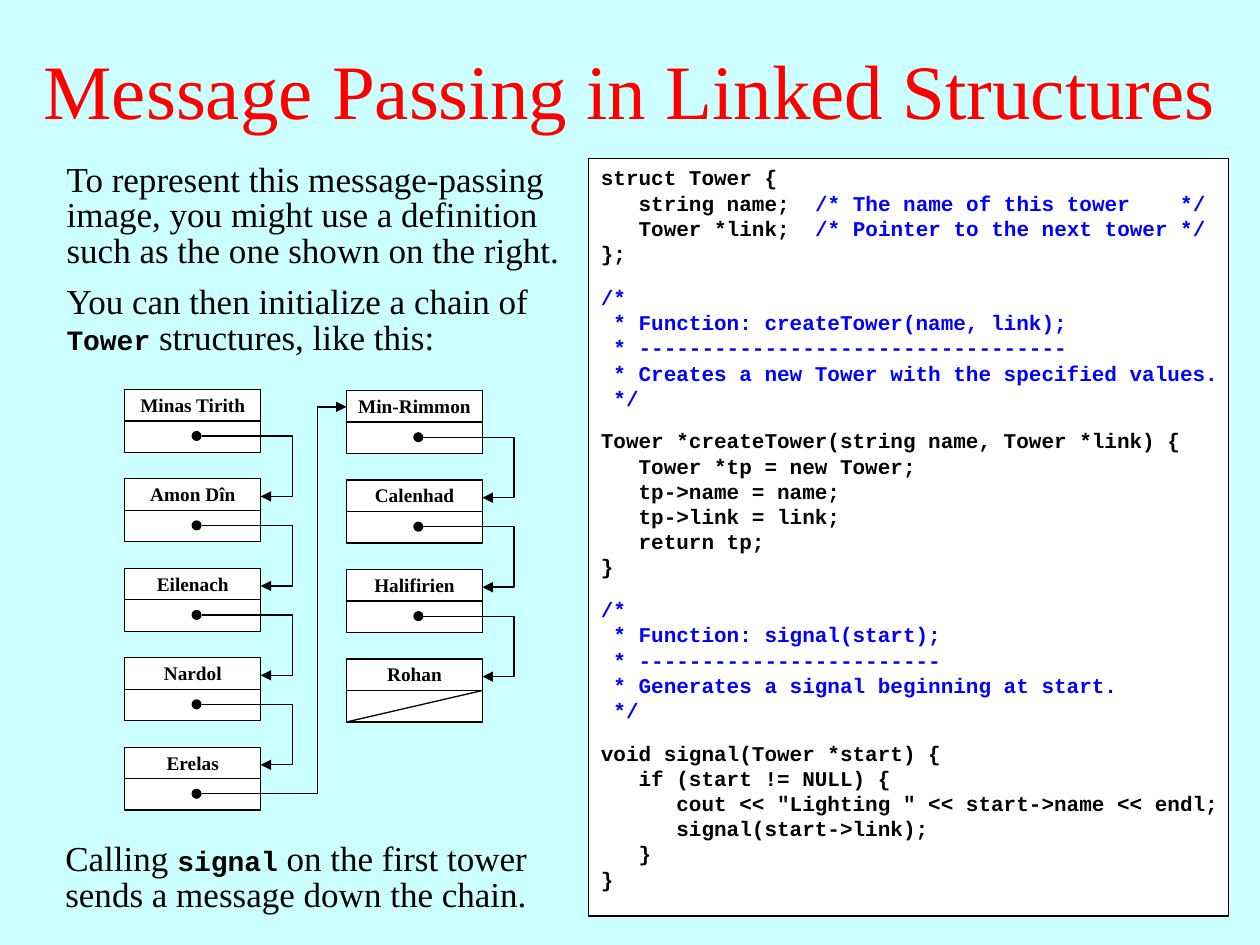
import pptx
import pptx.util
import pptx.dml.color
import pptx.enum.shapes
import pptx.enum.text
import pptx.oxml
import pptx.oxml.ns
import lxml.etree

Inches = pptx.util.Inches
Pt = pptx.util.Pt
SHAPE = pptx.enum.shapes.MSO_SHAPE
CONNECTOR = pptx.enum.shapes.MSO_CONNECTOR
ALIGN = pptx.enum.text.PP_ALIGN
ANCHOR = pptx.enum.text.MSO_ANCHOR
qn = pptx.oxml.ns.qn

SERIF, MONO = "Times New Roman", "Courier New"
BLACK, WHITE, RED, BLUE, CYAN = "000000", "FFFFFF", "FF0000", "0000FF", "CCFFFF"

CODE_BLOCKS = [
    """struct Tower {
   string name;  /* The name of this tower    */
   Tower *link;  /* Pointer to the next tower */
};""",
    """/*
 * Function: createTower(name, link);
 * ----------------------------------
 * Creates a new Tower with the specified values.
 */""",
    """Tower *createTower(string name, Tower *link) {
   Tower *tp = new Tower;
   tp->name = name;
   tp->link = link;
   return tp;
}""",
    """/*
 * Function: signal(start);
 * ------------------------
 * Generates a signal beginning at start.
 */""",
    """void signal(Tower *start) {
   if (start != NULL) {
      cout << "Lighting " << start->name << endl;
      signal(start->link);
   }
}""",
]
BLOCK_GAPS = [0, 10.7, 10, 10, 10]

LEFT_TOWERS = ["Minas Tirith", "Amon Dîn", "Eilenach", "Nardol", "Erelas"]
RIGHT_TOWERS = ["Min-Rimmon", "Calenhad", "Halifirien", "Rohan"]
CELL_W, NAME_H, LINK_Y, LINK_H, PITCH = 1.08, 0.28, 0.25, 0.25, 0.71
DOT, DOT_X, DOT_Y = 0.08, 0.57, 0.37
ENTRY_Y = 0.14


def color(value):
    return pptx.dml.color.RGBColor.from_string(value)


def add_run(p, text, size, font=SERIF, fill=BLACK, bold=False):
    r = p.add_run()
    r.text = text
    r.font.size = Pt(size)
    r.font.name = font
    r.font.bold = bold
    r.font.color.rgb = color(fill)


def add_box(s, kind, x, y, w, h, fill=WHITE, outlined=True):
    sp = s.shapes.add_shape(kind, Inches(x), Inches(y), Inches(w), Inches(h))
    sp.shadow.inherit = False
    sp.fill.solid()
    sp.fill.fore_color.rgb = color(fill)
    if outlined:
        sp.line.color.rgb = color(BLACK)
        sp.line.width = Pt(0.75)
    else:
        sp.line.fill.background()
    return sp


def add_line(s, kind, x1, y1, x2, y2):
    line = s.shapes.add_connector(kind, Inches(x1), Inches(y1), Inches(x2), Inches(y2))
    line.line.color.rgb = color(BLACK)
    line.line.width = Pt(0.75)
    lxml.etree.SubElement(line._element.spPr, qn("a:effectLst"))
    return line


def add_link(s, x1, y1, x2, y2, bend_x):
    link = add_line(s, CONNECTOR.ELBOW, x1, y1, x2, y2)
    lxml.etree.SubElement(link.line._get_or_add_ln(), qn("a:tailEnd"), type="triangle")
    guides = link._element.spPr.find(qn("a:prstGeom")).get_or_add_avLst()
    ratio = round((bend_x - x1) / (x2 - x1) * 100000)
    lxml.etree.SubElement(guides, qn("a:gd"), name="adj1", fmla=f"val {ratio}")


def add_title(s, x, y, w, h):
    tf = s.shapes.add_textbox(Inches(x), Inches(y), Inches(w), Inches(h)).text_frame
    tf.word_wrap = True
    tf.vertical_anchor = ANCHOR.MIDDLE
    p = tf.paragraphs[0]
    p.alignment = ALIGN.CENTER
    add_run(p, "Message Passing in Linked Structures", 44, fill=RED)


def add_prose(s, x, y, w, h, before, code="", after=""):
    tf = s.shapes.add_textbox(Inches(x), Inches(y), Inches(w), Inches(h)).text_frame
    tf.word_wrap = True
    p = tf.paragraphs[0]
    p.line_spacing = 0.85
    add_run(p, before, 20)
    if code:
        add_run(p, code, 16, MONO, bold=True)
        add_run(p, after, 20)


def add_code(s, x, y, w, h):
    tf = add_box(s, SHAPE.RECTANGLE, x, y, w, h).text_frame
    tf.word_wrap = False
    tf.vertical_anchor = ANCHOR.TOP
    p = tf.paragraphs[0]
    for block, gap in zip(CODE_BLOCKS, BLOCK_GAPS):
        for i, text in enumerate(block.split("\n")):
            if gap or i:
                p = tf.add_paragraph()
            p.alignment = ALIGN.LEFT
            if gap and i == 0:
                p.space_before = Pt(gap)
            if block.startswith("/*"):
                add_run(p, text, 12, MONO, BLUE, True)
                continue
            statement, mark, comment = text.partition("/*")
            add_run(p, statement, 12, MONO, BLACK, True)
            if mark:
                add_run(p, mark + comment, 12, MONO, BLUE, True)


def add_tower(s, x, y, name, is_last):
    sp = add_box(s, SHAPE.RECTANGLE, x, y, CELL_W, NAME_H)
    tf = sp.text_frame
    tf.word_wrap = False
    tf.vertical_anchor = ANCHOR.MIDDLE
    p = tf.paragraphs[0]
    p.alignment = ALIGN.CENTER
    p.line_spacing = 0.75
    add_run(p, name, 11, bold=True)
    link_y = y + LINK_Y
    add_box(s, SHAPE.RECTANGLE, x, link_y, CELL_W, LINK_H)
    if is_last:
        add_line(s, CONNECTOR.STRAIGHT, x, link_y + LINK_H, x + CELL_W, link_y)
    else:
        add_box(s, SHAPE.OVAL, x + DOT_X - DOT / 2, y + DOT_Y - DOT / 2, DOT, DOT, BLACK, False)


def add_column(s, x, y, names, ends_chain):
    for i, name in enumerate(names):
        add_tower(s, x, y + i * PITCH, name, ends_chain and i == len(names) - 1)
    for i in range(len(names) - 1):
        top = y + i * PITCH
        right = x + CELL_W
        add_link(s, x + DOT_X + DOT / 2, top + DOT_Y, right, top + PITCH + ENTRY_Y, right + 0.25)


def add_chain(s, left_x, right_x, y):
    add_column(s, left_x, y, LEFT_TOWERS, False)
    add_column(s, right_x, y + 0.01, RIGHT_TOWERS, True)
    last_y = y + (len(LEFT_TOWERS) - 1) * PITCH
    add_link(s, left_x + DOT_X + DOT / 2, last_y + DOT_Y, right_x, y + ENTRY_Y, right_x - 0.23)


def main():
    prs = pptx.Presentation()
    prs.slide_width = Inches(10)
    prs.slide_height = Inches(7.5)
    s = prs.slides.add_slide(prs.slide_layouts[6])
    s.background.fill.solid()
    s.background.fill.fore_color.rgb = color(CYAN)
    add_title(s, 0, 0.08, 10, 1.25)
    add_code(s, 4.67, 1.26, 5.08, 6.01)
    add_prose(s, 0.43, 1.25, 4.15, 0.97,
              "To represent this message-passing image, you might use a definition "
              "such as the one shown on the right.")
    add_prose(s, 0.43, 2.22, 4.07, 0.68,
              "You can then initialize a chain of ", "Tower", " structures, like this:")
    add_chain(s, 0.99, 2.75, 3.09)
    add_prose(s, 0.42, 6.64, 4.08, 0.68,
              "Calling ", "signal", " on the first tower sends a message down the chain.")
    prs.save("out.pptx")


if __name__ == "__main__":
    main()
